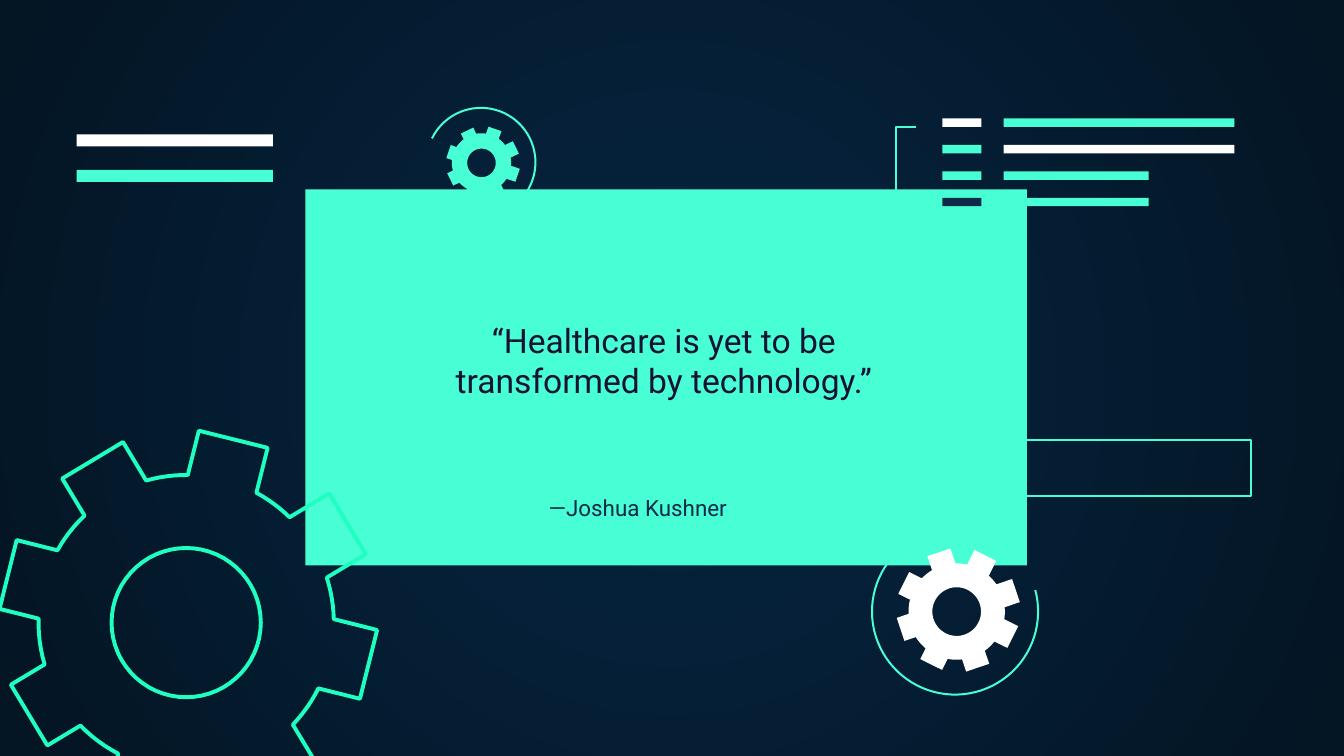
from math import atan2, cos, degrees, hypot, radians, sin, sqrt

from lxml.etree import SubElement
from pptx import Presentation
from pptx.dml.color import RGBColor
from pptx.enum.shapes import MSO_SHAPE
from pptx.enum.text import MSO_ANCHOR, PP_ALIGN
from pptx.oxml.ns import qn
from pptx.util import Cm, Pt

MINT = RGBColor(0x48, 0xFF, 0xD5)
BRIGHT_MINT = RGBColor(0x1E, 0xFF, 0xC1)
WHITE = RGBColor(0xFF, 0xFF, 0xFF)
NAVY = RGBColor(0x0E, 0x2A, 0x47)
INK = RGBColor(0x16, 0x12, 0x34)
CENTER_BLUE = RGBColor(0x05, 0x26, 0x43)
EDGE_BLUE = RGBColor(0x04, 0x15, 0x23)
FONT = "Roboto"
THIN, THICK = 1.09, 2.1


def on_circle(center, radius, bearing):
    """Point at a clockwise bearing in degrees, counted from the top."""
    angle = radians(bearing)
    return center[0] + radius * sin(angle), center[1] - radius * cos(angle)


def arc_points(center, radius, start, end, steps):
    return [on_circle(center, radius, start + (end - start) * step / steps)
            for step in range(steps + 1)]


def gear_points(center, hub, tip, half_width, root, start, teeth=8):
    """Parallel-sided teeth around center, standing on a root circle around hub."""
    pitch = 360 / teeth
    feet, tips = [], []
    for tooth in range(teeth):
        bearing = start + tooth * pitch
        out_x, out_y = on_circle((0, 0), 1, bearing)
        for side in (-half_width, half_width):
            base = (center[0] - side * out_y, center[1] + side * out_x)
            tips.append((base[0] + tip * out_x, base[1] + tip * out_y))
            off_x, off_y = base[0] - hub[0], base[1] - hub[1]
            along = off_x * out_x + off_y * out_y
            reach = sqrt(along ** 2 - hypot(off_x, off_y) ** 2 + root ** 2) - along
            feet.append(degrees(atan2(off_x + reach * out_x, -off_y - reach * out_y)))
    points = []
    for left in range(0, 2 * teeth, 2):
        foot, next_foot = feet[left + 1], feet[(left + 2) % (2 * teeth)]
        sweep = (next_foot - foot) % 360
        points += [on_circle(hub, root, feet[left]), tips[left], tips[left + 1]]
        points += arc_points(hub, root, foot, foot + sweep, 6)
    return points


class SlideArtist:
    def __init__(self, deck):
        self.slide = deck.slides.add_slide(deck.slide_layouts[6])
        self.shapes = self.slide.shapes

    def background(self, inner, outer):
        fill = self.slide.background.fill
        fill.gradient()
        for stop, color, position in zip(fill.gradient_stops, (inner, outer), (0, 1)):
            stop.color.rgb = color
            stop.position = position
        gradient = self.slide.element.find(".//" + qn("a:gradFill"))
        gradient.remove(gradient.find(qn("a:lin")))
        radial = SubElement(gradient, qn("a:path"), {"path": "circle"})
        SubElement(radial, qn("a:fillToRect"), dict.fromkeys("ltrb", "50000"))

    def paint(self, shape, fill, line, width):
        shape.shadow.inherit = False
        if fill is None:
            shape.fill.background()
        else:
            shape.fill.solid()
            shape.fill.fore_color.rgb = fill
        if line is None:
            shape.line.fill.background()
        else:
            shape.line.color.rgb = line
            shape.line.width = Pt(width)

    def rectangle(self, left, top, width, height, fill=None, line=None):
        shape = self.shapes.add_shape(MSO_SHAPE.RECTANGLE, Cm(left), Cm(top),
                                      Cm(width), Cm(height))
        self.paint(shape, fill, line, THIN)

    def outline(self, contours, closed, fill=None, line=None, width=THIN):
        builder = None
        for contour in contours:
            first, *rest = [(Cm(x), Cm(y)) for x, y in contour]
            if builder is None:
                builder = self.shapes.build_freeform(*first)
            else:
                builder.move_to(*first)
            builder.add_line_segments(rest, close=closed)
        self.paint(builder.convert_to_shape(), fill, line, width)

    def gear(self, center, hub, tip, half_width, root, hole, start, **style):
        rim = gear_points(center, hub, tip, half_width, root, start)
        opening = arc_points(hub, hole, 360, 0, 60)
        self.outline([rim, opening], True, **style)

    def text(self, left, top, width, height, words, size, color, anchor, indent=0.25):
        box = self.shapes.add_textbox(Cm(left), Cm(top), Cm(width), Cm(height))
        frame = box.text_frame
        frame.word_wrap = True
        frame.vertical_anchor = anchor
        frame.margin_left = Cm(indent)
        frame.margin_right = frame.margin_top = frame.margin_bottom = Cm(0.25)
        para = frame.paragraphs[0]
        para.text = words
        para.alignment = PP_ALIGN.CENTER
        para.font.name = FONT
        para.font.size = Pt(size)
        para.font.color.rgb = color


def main():
    deck = Presentation()
    deck.slide_width, deck.slide_height = Cm(25.4), Cm(14.29)
    artist = SlideArtist(deck)
    artist.background(CENTER_BLUE, EDGE_BLUE)

    # Quote panel
    artist.rectangle(5.77, 3.58, 13.64, 7.11, MINT)

    # Rings around the two filled gears
    for center, radius, start, end in (((9.09, 3.07), 1.03, -64, 190),
                                       ((18.05, 11.56), 1.57, 75, 323)):
        artist.outline([arc_points(center, radius, start, end, 60)], False, line=MINT)

    # Gears
    artist.gear((3.56, 11.71), (3.52, 11.77), 3.51, 0.67, 2.79, 1.41, 14,
                line=BRIGHT_MINT, width=THICK)
    artist.gear((18.11, 11.53), (18.08, 11.56), 1.15, 0.23, 0.91, 0.46, -18.6, fill=WHITE)
    artist.gear((9.13, 3.09), (9.1, 3.08), 0.69, 0.13, 0.56, 0.27, 19, fill=MINT)

    # List of bars at the top right, with its bracket
    rows = ((WHITE, MINT, 4.36), (MINT, WHITE, 4.36), (MINT, MINT, 2.74), (NAVY, MINT, 2.74))
    for row, (marker, bar, length) in enumerate(rows):
        top = 2.24 + 0.5 * row
        artist.rectangle(17.81, top, 0.74, 0.16, marker)
        artist.rectangle(18.97, top, length, 0.16, bar)
    bracket = [(17.35, 3.96), (16.94, 3.96), (16.94, 2.41), (17.32, 2.41)]
    artist.outline([bracket], False, line=MINT)

    # Two bars at the top left
    for top, color in ((2.54, WHITE), (3.21, MINT)):
        artist.rectangle(1.45, top, 3.71, 0.23, color)

    # Empty frame at the right
    artist.rectangle(18.29, 8.32, 5.36, 1.06, line=MINT)

    # Author and quote
    artist.text(6.48, 4.72, 9.8, 5.38, "—Joshua Kushner", 12, NAVY,
                MSO_ANCHOR.BOTTOM, indent=1.6)
    artist.text(7.75, 5.79, 9.6, 3.15, "“Healthcare is yet to be transformed by technology.”",
                18, INK, MSO_ANCHOR.TOP)

    deck.save("out.pptx")


if __name__ == "__main__":
    main()
